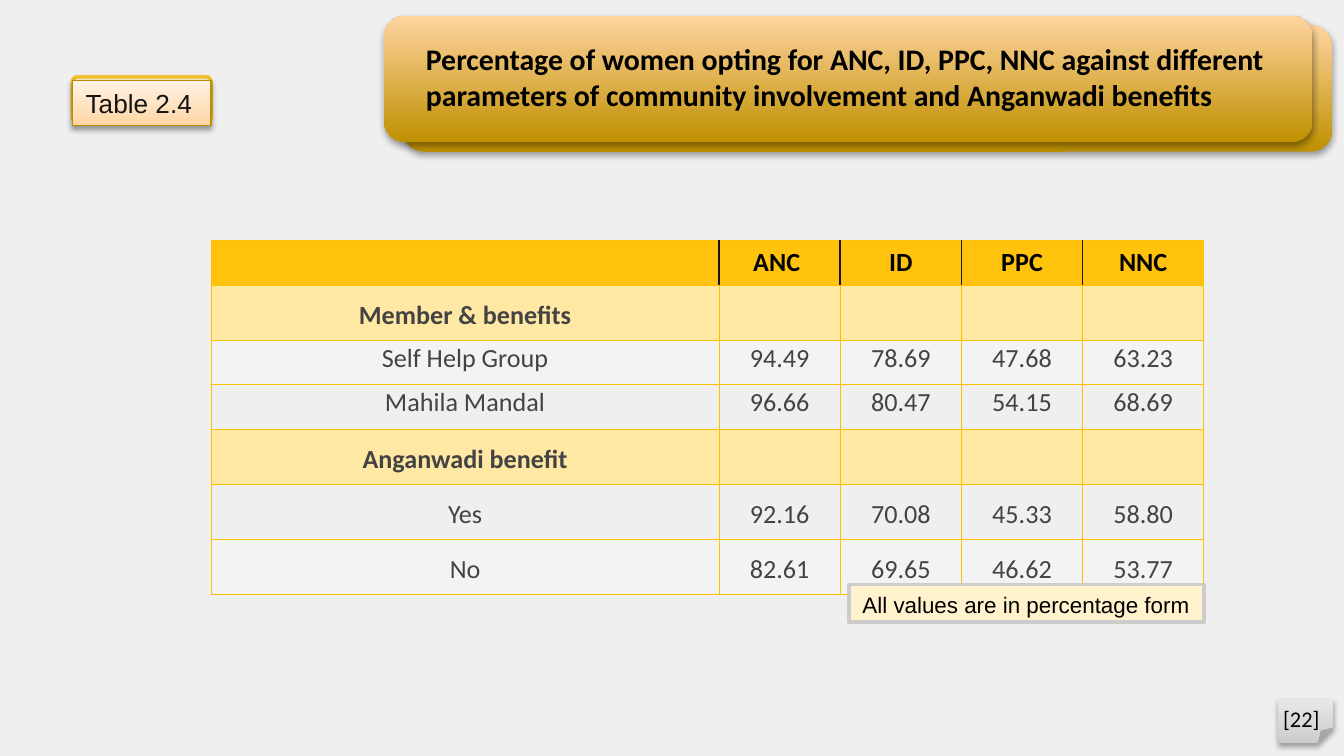
import copy
from lxml import etree
from pptx import Presentation, util as u
from pptx.dml.color import RGBColor
from pptx.enum import shapes, text
from pptx.oxml import parse_xml
from pptx.oxml.ns import nsdecls, qn

BLACK = RGBColor(0x00, 0x00, 0x00)
INK = RGBColor(0x14, 0x14, 0x14)
GREY_TEXT = RGBColor(0x43, 0x43, 0x43)
PAGE = RGBColor(0xEF, 0xEF, 0xEF)
GOLD_DARK = RGBColor(0xBF, 0x90, 0x00)
PEACH = RGBColor(0xFF, 0xD4, 0xA0)
PEACH_MID = RGBColor(0xFF, 0xE0, 0xBC)
PEACH_PALE = RGBColor(0xFF, 0xF3, 0xE5)
CREAM = RGBColor(0xFF, 0xF2, 0xCC)
BADGE_BACK = RGBColor(0xF1, 0xC2, 0x32)
BADGE_EDGE = RGBColor(0xBB, 0x8D, 0x00)
SILVER = RGBColor(0xCC, 0xCC, 0xCC)
SILVER_PALE = RGBColor(0xE7, 0xE7, 0xE7)
HEADER = RGBColor(0xFF, 0xC3, 0x0D)
SECTION = RGBColor(0xFF, 0xE8, 0xA3)
STRIPE = RGBColor(0xF3, 0xF3, 0xF3)
GRID = RGBColor(0xFF, 0xC0, 0x00)

MSO = shapes.MSO_SHAPE
CENTER = text.PP_ALIGN.CENTER

prs = Presentation()
prs.slide_width, prs.slide_height = u.Cm(25.4), u.Cm(14.29)
s = prs.slides.add_slide(prs.slide_layouts[6])
s.background.fill.solid()
s.background.fill.fore_color.rgb = PAGE


def write(tf, words, size=14, font="Calibri", color=BLACK, bold=False,
          align=text.PP_ALIGN.LEFT, spacing=None, before=None):
    tf.word_wrap = True
    p = tf.paragraphs[0]
    p.alignment, p.line_spacing = align, spacing
    if before:
        p.space_before = u.Pt(before)
    r = p.add_run()
    r.text = words
    r.font.size, r.font.name, r.font.bold = u.Pt(size), font, bold
    r.font.color.rgb = color


def box(kind, place, colors, adj=None, line=None, shadow=None):
    """Shape with a solid fill (one colour) or a gradient running upwards."""
    sp = s.shapes.add_shape(kind, *(u.Cm(v) for v in place))
    if adj:
        guides = sp._element.spPr.find(".//{*}avLst")
        for old in list(guides):
            guides.remove(old)
        etree.SubElement(guides, qn("a:gd"), name="adj", fmla=f"val {round(adj * 100000)}")
    if len(colors) == 1:
        sp.fill.solid()
        sp.fill.fore_color.rgb = colors[0]
    else:
        sp.fill.gradient()
        sp.fill.gradient_angle = 90
        stops = sp.fill.gradient_stops
        stops[0].color.rgb, stops[1].color.rgb = colors[0], colors[-1]
        if len(colors) == 3:
            first = sp._element.spPr.find(".//{*}gs")
            first.addnext(copy.deepcopy(first))
            middle = sp.fill.gradient_stops[1]
            middle.position, middle.color.rgb = 0.35, colors[1]
    if line:
        sp.line.color.rgb, sp.line.width = line[0], u.Pt(line[1])
    else:
        sp.line.fill.background()
    sp.shadow.inherit = False
    if shadow:
        blur, dist, alpha = shadow
        sp._element.spPr.find("{*}effectLst").append(parse_xml(
            f'<a:outerShdw {nsdecls("a")} blurRad="{u.Pt(blur)}" dist="{u.Pt(dist)}" '
            f'dir="5400000" rotWithShape="0"><a:srgbClr val="000000">'
            f'<a:alpha val="{alpha * 1000}"/></a:srgbClr></a:outerShdw>'))
    return sp


SOFT = (3.1, 1.8, 35)

# Title banner: two stacked plates
for x, y in ((7.62, 0.48), (7.26, 0.3)):
    box(MSO.ROUNDED_RECTANGLE, (x, y, 17.55, 2.39), (GOLD_DARK, PEACH), adj=0.167, shadow=SOFT)
tb = s.shapes.add_textbox(u.Cm(7.8), u.Cm(0.64), u.Cm(17.2), u.Cm(1.63))
write(tb.text_frame, "Percentage of women opting for ANC, ID, PPC, NNC against different "
      "parameters of community involvement and Anganwadi benefits", size=16, bold=True)

# Table number badge
box(MSO.ROUNDED_RECTANGLE, (1.37, 1.45, 2.62, 0.86), (CREAM,), adj=0.114, line=(BADGE_BACK, 2))
sp = box(MSO.RECTANGLE, (1.37, 1.52, 2.62, 0.86), (PEACH, PEACH_MID, PEACH_PALE),
         line=(BADGE_EDGE, 0.75), shadow=(3.1, 1.6, 38))
sp.text_frame.vertical_anchor = text.MSO_ANCHOR.TOP
write(sp.text_frame, "Table 2.4", font="Arial", color=INK)

# Page number
box(MSO.FOLDED_CORNER, (24.16, 13.21, 1.04, 0.84), (SILVER, SILVER_PALE), adj=0.348, shadow=SOFT)
tb = s.shapes.add_textbox(u.Cm(24), u.Cm(13.21), u.Cm(2.36), u.Cm(0.76))
write(tb.text_frame, "[22]", size=12)

# Data table: words, fill, row height, line spacing, space before
rows = [
    (("", "ANC ", "ID", "PPC", "NNC"), HEADER, 0.84, None, None),
    (("Member & benefits", "", "", "", ""), SECTION, 1.04, 1.15, 12),
    (("Self Help Group", "94.49", "78.69", "47.68", "63.23"), STRIPE, 0.84, 0.5, 12),
    (("Mahila Mandal", "96.66", "80.47", "54.15", "68.69"), None, 0.84, 0.5, 12),
    (("Anganwadi benefit", "", "", "", ""), SECTION, 1.04, 1.15, None),
    (("Yes", "92.16", "70.08", "45.33", "58.80"), None, 1.04, 1.15, None),
    (("No", "82.61", "69.65", "46.62", "53.77"), STRIPE, 1.04, 1.15, None),
]
widths = [9.6] + [2.29] * 4
tbl = s.shapes.add_table(len(rows), len(widths), u.Cm(3.99), u.Cm(4.55), u.Cm(sum(widths)),
                         u.Cm(sum(row[2] for row in rows))).table
tbl.first_row = tbl.horz_banding = False
for col, width in zip(tbl.columns, widths):
    col.width = u.Cm(width)
for i, (words, fill, height, spacing, before) in enumerate(rows):
    tbl.rows[i].height = u.Cm(height)
    header = i == 0
    for j, word in enumerate(words):
        cell = tbl.cell(i, j)
        cell.vertical_anchor = text.MSO_ANCHOR.MIDDLE
        inset = u.Cm(0.18 if word and not header else 0)
        cell.margin_left = cell.margin_right = cell.margin_top = cell.margin_bottom = inset
        if word:
            write(cell.text_frame, word, color=BLACK if header else GREY_TEXT,
                  bold=fill in (HEADER, SECTION), align=CENTER, spacing=spacing, before=before)
        # Borders come before the fill; dark dividers inside the header
        tcPr = cell._tc.get_or_add_tcPr()
        for side in "LRTB":
            dark = header and (side == "L" and j > 0 or side == "R" and j < len(words) - 1)
            color, pt = (INK, 1) if dark else (GRID, 0.5)
            tcPr.append(parse_xml(
                f'<a:ln{side} {nsdecls("a")} w="{u.Pt(pt)}"><a:solidFill>'
                f'<a:srgbClr val="{color}"/></a:solidFill></a:ln{side}>'))
        if fill:
            cell.fill.solid()
            cell.fill.fore_color.rgb = fill
        else:
            cell.fill.background()

# Note under the table
box(MSO.RECTANGLE, (16.05, 11.05, 6.71, 0.71), (CREAM,), line=(SILVER, 2))
tb = s.shapes.add_textbox(u.Cm(16.05), u.Cm(11.05), u.Cm(7.01), u.Cm(0.76))
write(tb.text_frame, "All values are in percentage form", size=12, font="Arial")

prs.save("out.pptx")
